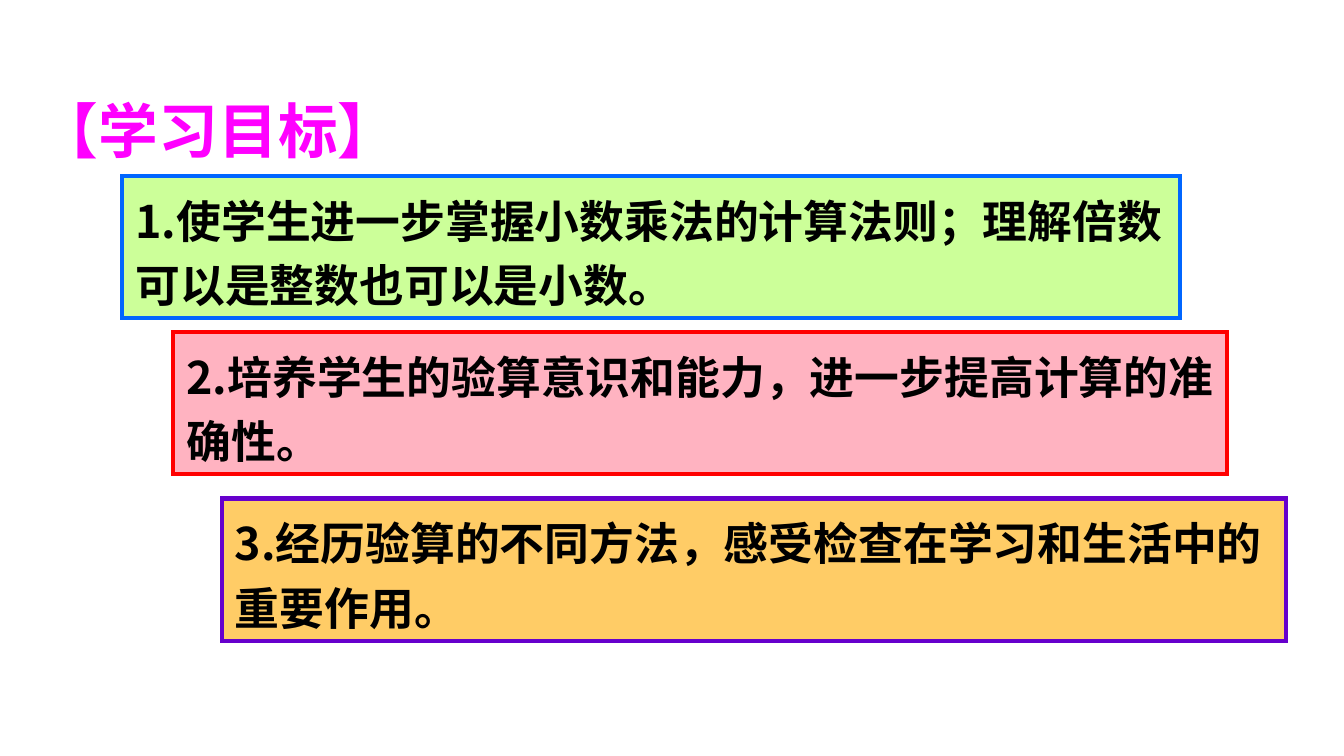
from lxml.etree import SubElement
from pptx import Presentation
from pptx.dml.color import RGBColor
from pptx.enum.shapes import MSO_SHAPE
from pptx.enum.text import MSO_ANCHOR, PP_ALIGN
from pptx.oxml.ns import qn
from pptx.util import Inches, Pt

FONT = "Noto Sans CJK SC"
MAGENTA = RGBColor(0xFF, 0x00, 0xFF)
BLACK = RGBColor(0x00, 0x00, 0x00)
GREEN = RGBColor(0xCC, 0xFF, 0x99)
BLUE = RGBColor(0x00, 0x66, 0xFF)
PINK = RGBColor(0xFF, 0xB3, 0xC1)
RED = RGBColor(0xFF, 0x00, 0x00)
ORANGE = RGBColor(0xFF, 0xCC, 0x66)
PURPLE = RGBColor(0x66, 0x00, 0xCC)

GOALS = [
    ((0.91, 1.31, 7.87, 1.06), GREEN, BLUE,
     "1.使学生进一步掌握小数乘法的计算法则；理解倍数可以是整数也可以是小数。"),
    ((1.29, 2.47, 7.84, 1.06), PINK, RED,
     "2.培养学生的验算意识和能力，进一步提高计算的准确性。"),
    ((1.65, 3.71, 7.92, 1.06), ORANGE, PURPLE,
     "3.经历验算的不同方法，感受检查在学习和生活中的重要作用。"),
]


def write_text(shape, text, size, color, spacing):
    """Put one bold, left-aligned paragraph at the top of a shape."""
    frame = shape.text_frame
    frame.text = text
    frame.word_wrap = True
    frame.vertical_anchor = MSO_ANCHOR.TOP
    paragraph = frame.paragraphs[0]
    paragraph.alignment = PP_ALIGN.LEFT
    paragraph.line_spacing = spacing
    paragraph.space_before = Pt(0)
    run = paragraph.runs[0]
    run.font.name, run.font.size, run.font.bold = FONT, Pt(size), True
    run.font.color.rgb = color
    SubElement(run._r.get_or_add_rPr(), qn("a:ea"), typeface=FONT)


def place_heading(slide, box):
    """Move and format the title placeholder."""
    heading = slide.shapes.title
    heading.left, heading.top, heading.width, heading.height = map(Inches, box)
    write_text(heading, "【学习目标】", 32, MAGENTA, 1.0)


def add_goal(slide, box, fill, border, text):
    """Draw one framed learning goal with square corners."""
    goal = slide.shapes.add_shape(MSO_SHAPE.RECTANGLE, *map(Inches, box))
    goal.shadow.inherit = False
    goal.fill.solid()
    goal.fill.fore_color.rgb = fill
    goal.line.color.rgb = border
    goal.line.width = Pt(2.25)
    SubElement(goal.line._get_or_add_ln(), qn("a:miter"), lim="800000")
    write_text(goal, text, 24, BLACK, 1.2)


def main():
    """Build the learning goals slide."""
    deck = Presentation()
    deck.slide_width = Inches(10)
    deck.slide_height = deck.slide_width * 9 // 16
    slide = deck.slides.add_slide(deck.slide_layouts[5])
    place_heading(slide, (0.19, 0.65, 7.41, 0.67))
    for box, fill, border, text in GOALS:
        add_goal(slide, box, fill, border, text)
    deck.save("out.pptx")


if __name__ == "__main__":
    main()
